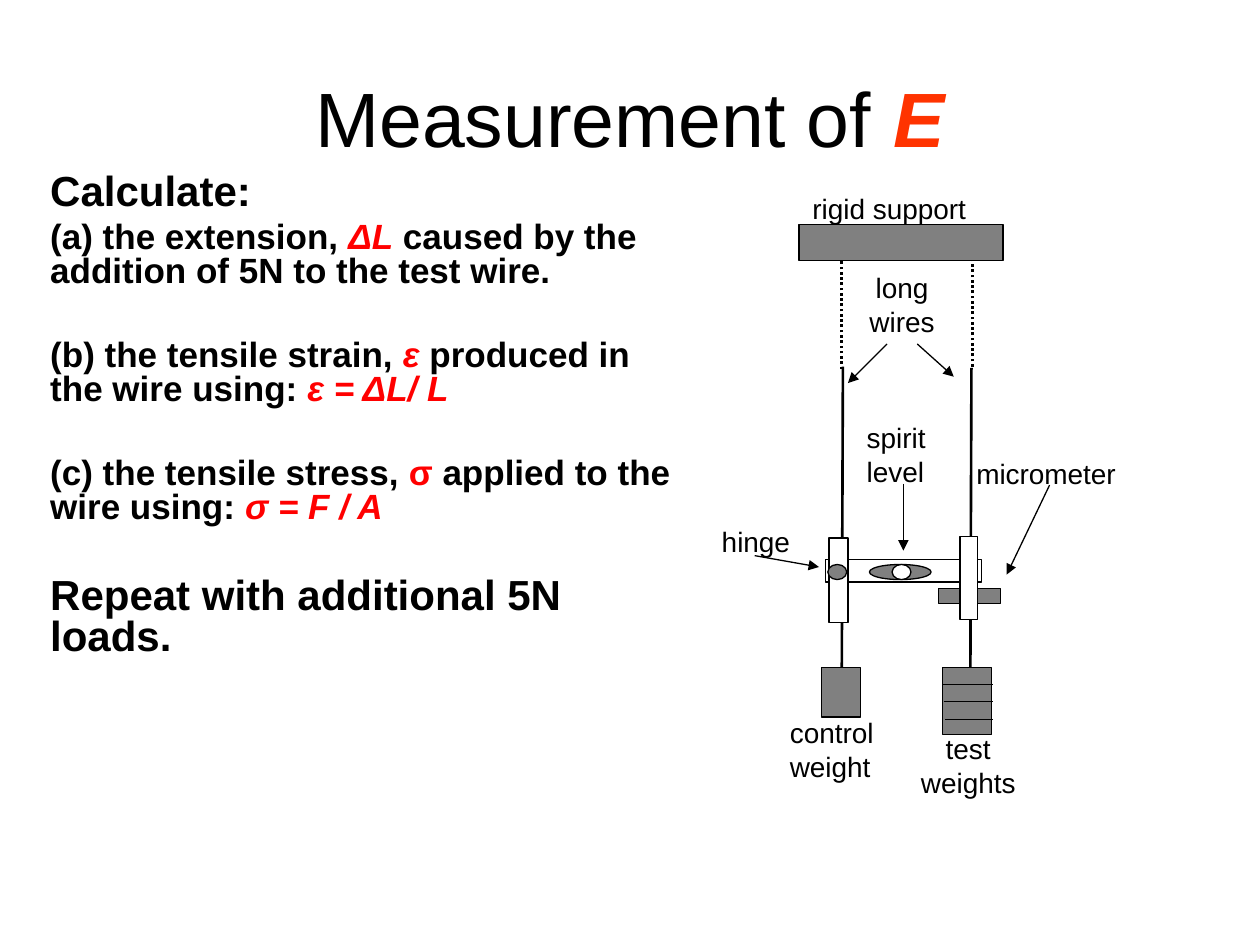
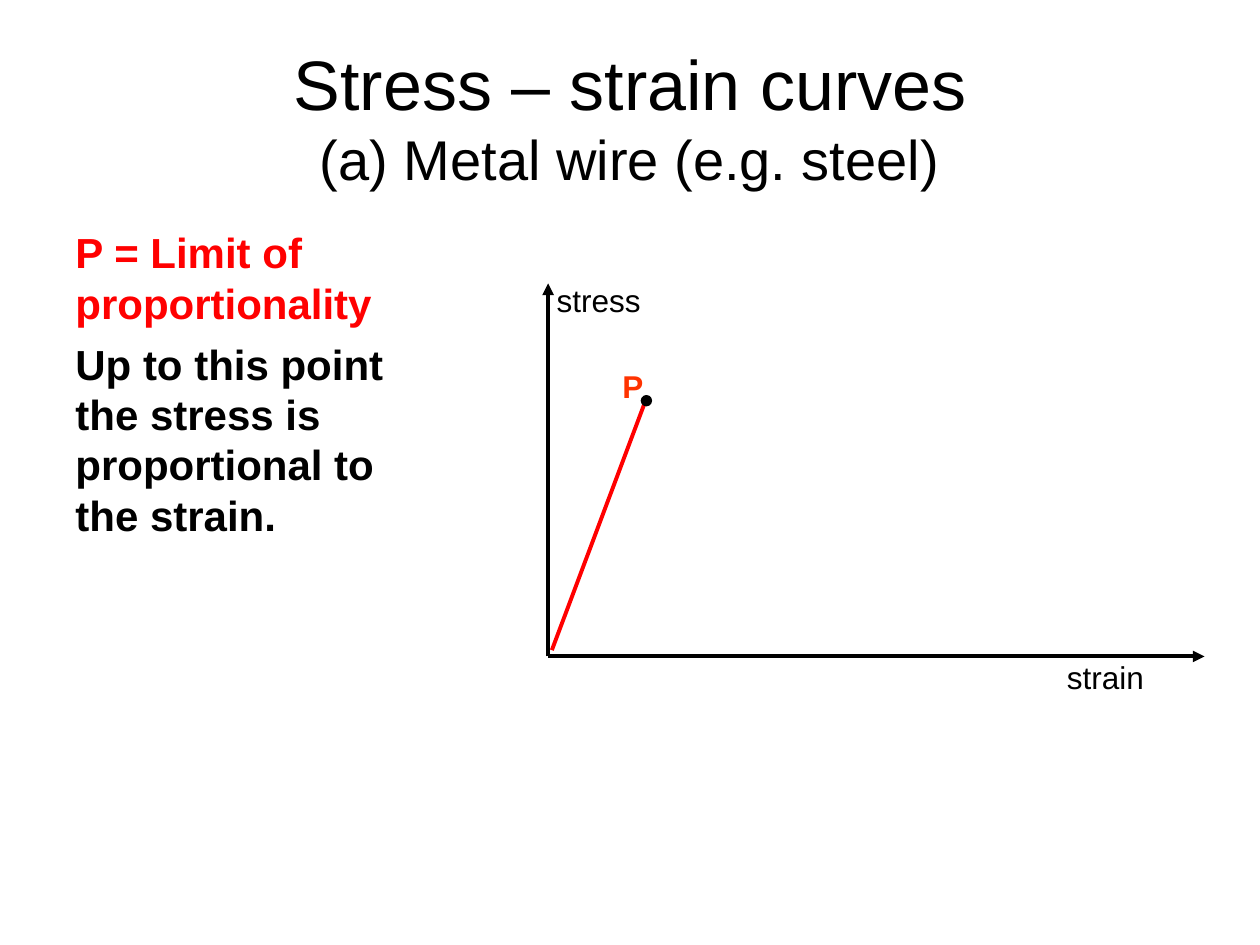
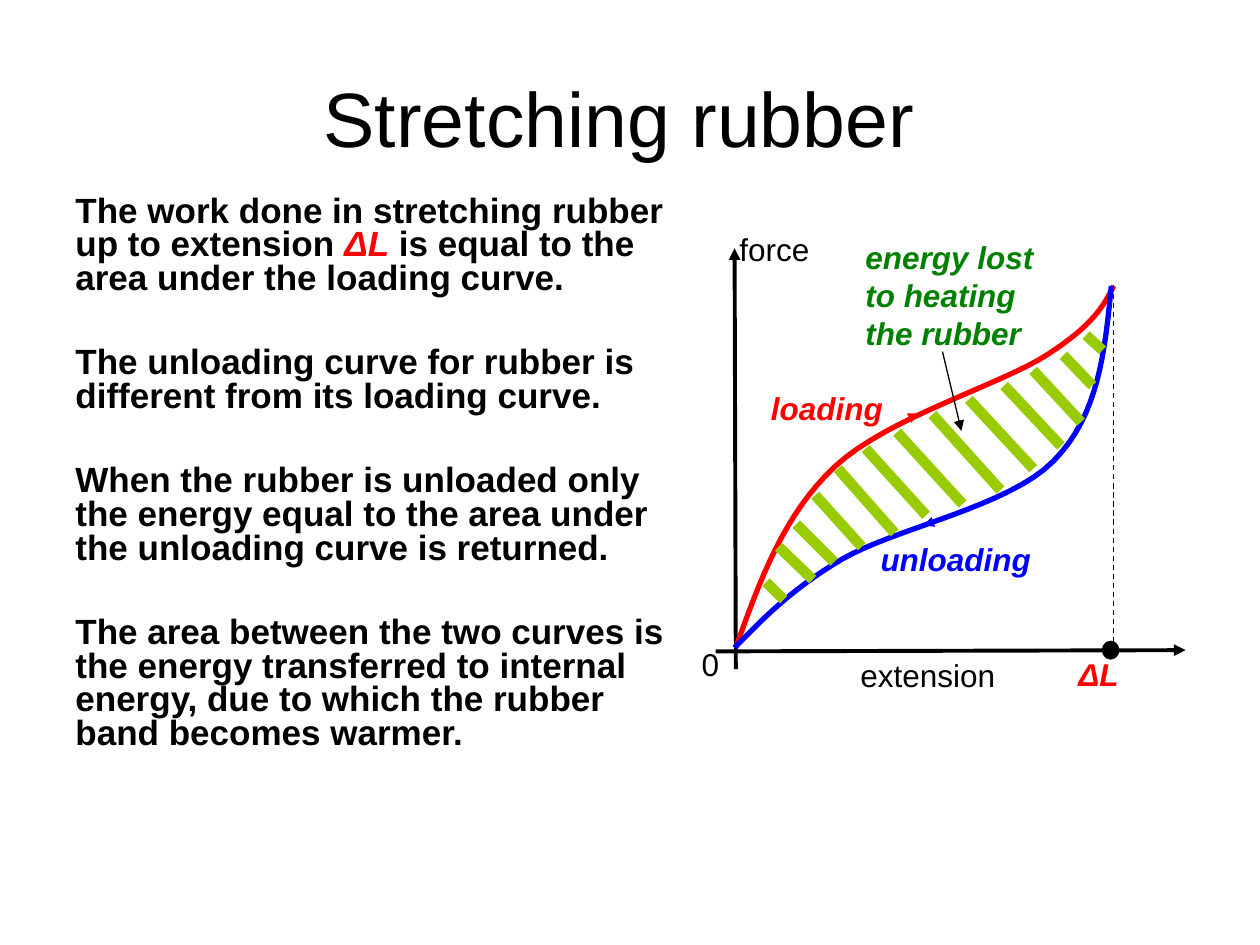
from lxml.etree import SubElement
from pptx import Presentation
from pptx.dml.color import RGBColor
from pptx.enum.dml import MSO_LINE
from pptx.enum.shapes import MSO_CONNECTOR, MSO_SHAPE
from pptx.enum.text import MSO_ANCHOR, PP_ALIGN
from pptx.oxml.ns import qn
from pptx.util import Emu, Pt

PX = 9144
FONT = "Arial"
BLACK, WHITE, GREY = "000000", "FFFFFF", "808080"
RED, FLAME, BLUE = "FF0000", "FF3300", "0000FF"
GREEN, LIME = "008000", "99CC00"
RECT, OVAL = MSO_SHAPE.RECTANGLE, MSO_SHAPE.OVAL
LEFT, MID = PP_ALIGN.LEFT, PP_ALIGN.CENTER
TITLE = (50, 30, 900, 125)


def px(num):
    return Emu(round(num * PX))


def tint(code):
    return RGBColor.from_string(code)


def add_run(para, text, size, color=BLACK, bold=False, slant=False):
    run = para.add_run()
    run.text = text
    font = run.font
    font.name, font.size = FONT, Pt(size)
    font.bold, font.italic = bold, slant
    font.color.rgb = tint(color)


def bezier(start, parts, steps=16):
    for one, two, end in parts:
        for step in range(1, steps + 1):
            t = step / steps
            u = 1 - t
            yield tuple(u**3 * a + 3 * u * u * t * b + 3 * u * t * t * c + t**3 * d
                        for a, b, c, d in zip(start, one, two, end))
        start = end


class Pane:
    def __init__(self, slide, left=0, top=0):
        self.shapes, self.left, self.top = slide.shapes, left, top

    def spot(self, x, y):
        return px(self.left + x), px(self.top + y)

    def frame(self, box):
        x, y, wide, high = box
        area = self.shapes.add_textbox(*self.spot(x, y), px(wide), px(high))
        area.text_frame.word_wrap = True
        return area.text_frame

    def label(self, box, lines, size=18, align=LEFT, **style):
        frame = self.frame(box)
        for num, line in enumerate(lines):
            para = frame.add_paragraph() if num else frame.paragraphs[0]
            para.alignment = align
            add_run(para, line, size, **style)

    def shape(self, kind, box, fill):
        x, y, wide, high = box
        item = self.shapes.add_shape(kind, *self.spot(x, y), px(wide), px(high))
        item.shadow.inherit = False
        item.fill.solid()
        item.fill.fore_color.rgb = tint(fill)
        item.line.color.rgb = tint(BLACK)
        item.line.width = Pt(0.75)

    def line(self, ends, width=0.75, color=BLACK, dash=None, arrow=False):
        x, y, far, low = ends
        link = self.shapes.add_connector(
            MSO_CONNECTOR.STRAIGHT, *self.spot(x, y), *self.spot(far, low))
        link.line.color.rgb = tint(color)
        link.line.width = Pt(width)
        if dash:
            link.line.dash_style = dash
        props = link.element.spPr
        if arrow:
            SubElement(props.find(qn("a:ln")), qn("a:tailEnd"), type="triangle")
        SubElement(props, qn("a:effectLst"))

    def curve(self, start, parts, color):
        pen = self.shapes.build_freeform(*self.spot(*start), scale=1.0)
        pen.add_line_segments([self.spot(*dot) for dot in bezier(start, parts)], close=False)
        item = pen.convert_to_shape()
        item.shadow.inherit = False
        item.fill.background()
        item.line.color.rgb = tint(color)
        item.line.width = Pt(3)


def add_title(slide, rows):
    frame = Pane(slide).frame(TITLE)
    frame.vertical_anchor = MSO_ANCHOR.MIDDLE
    para = frame.paragraphs[0]
    para.alignment = MID
    for num, row in enumerate(rows):
        if num:
            para.add_line_break()
        for text, size, *style in row:
            add_run(para, text, size, *style)


def add_body(slide, box, paras, pitch=None):
    frame = Pane(slide).frame(box)
    for num, (size, gap, runs) in enumerate(paras):
        para = frame.add_paragraph() if num else frame.paragraphs[0]
        para.space_before = Pt(gap)
        if pitch:
            para.line_spacing = pitch
        for text, *style in runs:
            color, slant = style or (BLACK, False)
            add_run(para, text, size, color, True, slant)


def draw_rig(slide, left, top):
    pane = Pane(slide, left, top)
    pane.shape(RECT, (185, 327, 49, 12), GREY)
    for wire in ((109, 151, 108, 417), (211, 152, 210, 433)):
        pane.line(wire, 1.5)
    for kind, box, fill in (
        (RECT, (92, 390, 31, 39), GREY),
        (RECT, (188, 390, 39, 53), GREY),
        (RECT, (95, 304, 124, 18), WHITE),
        (OVAL, (130, 308, 49, 12), GREY),
        (RECT, (98, 287, 15, 67), WHITE),
        (RECT, (202, 286, 14, 66), WHITE),
        (OVAL, (148, 308, 15, 12), WHITE),
    ):
        pane.shape(kind, box, fill)
    for wire in ((108, 153, 108, 63), (212, 151, 212, 61)):
        pane.line(wire, 1.5, dash=MSO_LINE.ROUND_DOT)
    pane.shape(RECT, (74, 38, 162, 29), GREY)
    pane.shape(OVAL, (97, 308, 15, 12), GREY)
    for box, lines, align in (
        ((3, 271, 120, 35), ["hinge"], LEFT),
        ((147, 436, 123, 59), ["test", "weights"], MID),
        ((75, 7, 196, 35), ["rigid support"], LEFT),
        ((118, 189, 88, 79), ["spirit", "level"], LEFT),
        ((103, 70, 106, 63), ["long wires"], MID),
        ((57, 423, 119, 64), ["control weight"], LEFT),
        ((205, 217, 153, 35), ["micrometer"], LEFT),
    ):
        pane.label(box, lines, 16, align)
    for num in range(3):
        level = 403 + 14 * num
        pane.line((188 + num, level, 228, level))
    for ends in (
        (273, 245, 239, 316), (39, 301, 90, 310), (157, 244, 157, 297),
        (144, 133, 113, 164), (168, 133, 197, 159),
    ):
        pane.line(ends, arrow=True)


def draw_stress(slide, left, top):
    pane = Pane(slide, left, top)
    pane.line((8, 306, 82, 109), 2.25, RED)
    for axis in ((5, 311, 5, 15), (5, 311, 526, 311)):
        pane.line(axis, 2.25, arrow=True)
    pane.label((2, 8, 94, 47), ["stress"])
    pane.label((407, 307, 94, 47), ["strain"])
    pane.label((54, 76, 49, 45), ["P"], color=FLAME, bold=True)
    pane.shape(OVAL, (79, 104, 8, 8), BLACK)


def draw_force(slide, left, top):
    pane = Pane(slide, left, top)
    for axis in ((44, 361, 43, 27), (28, 347, 401, 346)):
        pane.line(axis, 2.25, arrow=True)
    pane.line((344, 56, 344, 345), dash=MSO_LINE.DASH)
    pane.shape(OVAL, (335, 339, 13, 14), BLACK)
    for box, text in (
        ((7, 337, 48, 57), "0"),
        ((37, 8, 108, 47), "force"),
        ((133, 346, 143, 48), "extension"),
    ):
        pane.label(box, [text])
    pane.curve((44, 344), (
        ((63, 291), (82, 238), (123, 200)),
        ((165, 161), (256, 135), (292, 111)),
        ((329, 87), (336, 72), (344, 57)),
    ), RED)
    pane.line((161, 172, 189, 158), color=RED, arrow=True)
    pane.curve((342, 57), (
        ((337, 108), (332, 160), (296, 196)),
        ((261, 232), (171, 249), (128, 274)),
        ((86, 299), (65, 322), (43, 344)),
    ), BLUE)
    pane.line((235, 232, 193, 247), color=BLUE, arrow=True)
    for box, text, color in (
        ((149, 254, 161, 50), "unloading", BLUE),
        ((306, 345, 71, 57), "ΔL", RED),
        ((62, 134, 139, 50), "loading", RED),
        ((137, 14, 173, 94), "energy lost to heating the rubber", GREEN),
    ):
        pane.label(box, [text], color=color, bold=True, slant=True)
    pane.line((208, 109, 223, 172), arrow=True)
    for stripe in (
        (68, 292, 82, 306), (78, 264, 105, 290), (92, 246, 122, 276),
        (107, 223, 144, 264), (125, 202, 170, 253), (147, 186, 195, 239),
        (172, 173, 224, 230), (200, 159, 254, 219), (229, 147, 280, 202),
        (257, 136, 302, 184), (280, 124, 318, 165), (304, 112, 327, 136),
        (322, 96, 335, 108),
    ):
        pane.line(stripe, 6, LIME)


def make_rig(slide):
    add_title(slide, [[("Measurement of ", 44), ("E", 44, FLAME, True, True)]])
    add_body(slide, (30, 133, 529, 531), [
        (24, 6, [("Calculate:",)]),
        (20, 5, [("(a) the extension, ",), ("ΔL", RED, True),
                 (" caused by the addition of 5N to the test wire.",)]),
        (20, 29, [("(b) the tensile strain, ",), ("ε", RED, True),
                  (" produced in the wire using: ",), ("ε = ΔL/ L", RED, True)]),
        (20, 29, [("(c) the tensile stress, ",), ("σ", RED, False),
                  (" applied to the wire using: ",), ("σ = F / A", RED, True)]),
        (24, 30, [("Repeat with additional 5N loads.",)]),
    ], 0.8)
    draw_rig(slide, 560, 140)


def make_stress(slide):
    add_title(slide, [[("Stress – strain curves", 40)],
                      [("(a) Metal wire (e.g. steel)", 32)]])
    add_body(slide, (50, 175, 311, 499), [
        (24, 6, [("P = Limit of proportionality", RED, False)]),
        (24, 6, [("Up to this point the stress is proportional to the strain.",)]),
    ])
    draw_stress(slide, 430, 210)


def make_force(slide):
    add_title(slide, [[("Stretching rubber ", 44)]])
    add_body(slide, (50, 151, 499, 493), [
        (20, 5, [("The work done in stretching rubber up to extension ",),
                 ("ΔL", RED, True),
                 (" is equal to the area under the loading curve.",)]),
        (20, 29, [("The unloading curve for rubber is different "
                   "from its loading curve.",)]),
        (20, 29, [("When the rubber is unloaded only the energy equal to "
                   "the area under the unloading curve is returned.",)]),
        (20, 29, [("The area between the two curves is the energy transferred to "
                   "internal energy, due to which the rubber band becomes warmer.",)]),
    ], 0.8)
    draw_force(slide, 540, 170)


def main():
    deck = Presentation()
    deck.slide_width, deck.slide_height = px(1000), px(750)
    for make in (make_rig, make_stress, make_force):
        make(deck.slides.add_slide(deck.slide_layouts[6]))
    deck.save("out.pptx")


if __name__ == "__main__":
    main()
